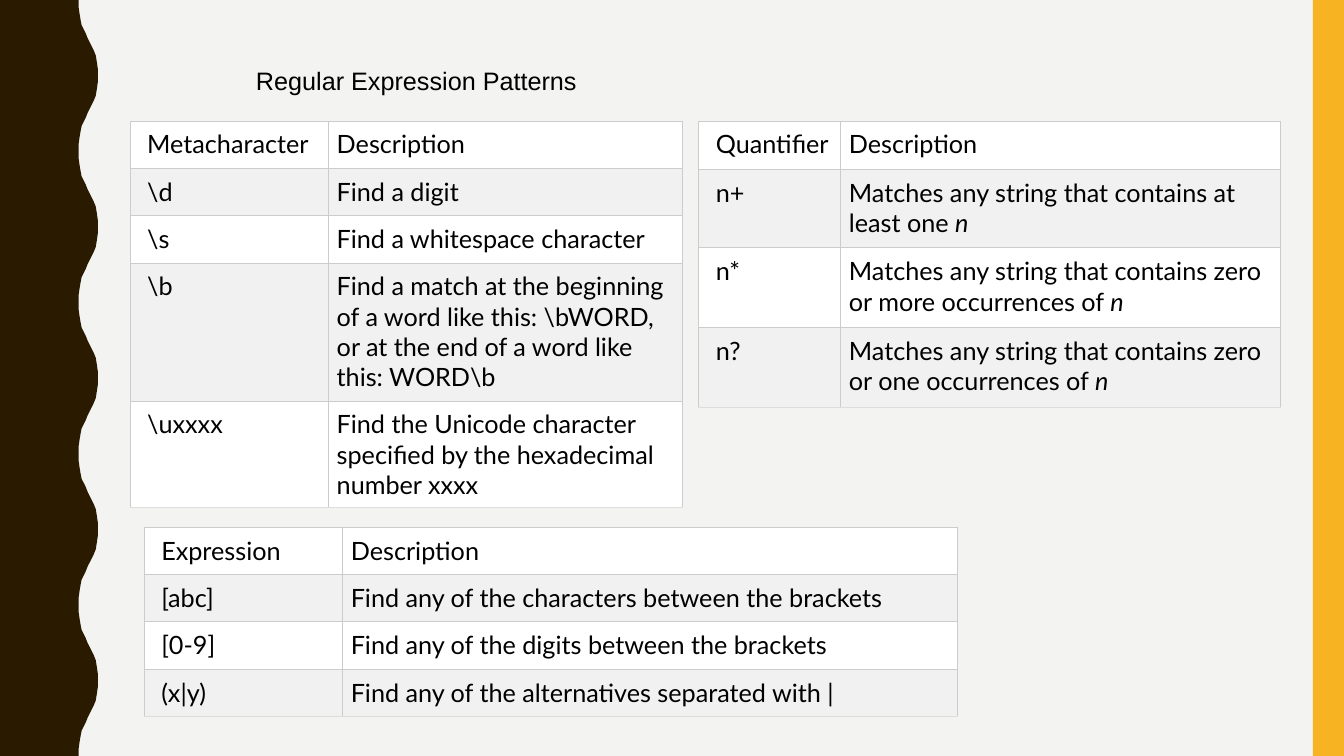
from lxml.etree import SubElement
from pptx import Presentation
from pptx.dml.color import RGBColor as RGB
from pptx.enum.shapes import MSO_SHAPE as Shape
from pptx.oxml.ns import qn
from pptx.util import Inches, Pt

COLORS = {"back": "F3F3F2", "wave": "2A1A00", "bar": "F8B323", "text": "000000",
          "plain": "FFFFFF", "band": "F1F1F1", "grid": "CCCCCC", "last": "DDDDDD"}
NBSP = "\u00a0"  # an italic letter follows it


class SlideStyle:
    def __init__(self, slide):
        self.slide, self.shapes = slide, slide.shapes
        self.paint(slide.background, "back")

    def paint(self, target, color):
        target.fill.solid()
        target.fill.fore_color.rgb = RGB.from_string(COLORS[color])

    def finish(self, shape, color):
        self.paint(shape, color)
        shape.line.fill.background()
        shape.shadow.inherit = False

    def rect(self, left, top, width, height, color):
        box = map(Inches, (left, top, width, height))
        self.finish(self.shapes.add_shape(Shape.RECTANGLE, *box), color)

    def outline(self, points, color):
        start, *rest = [(Inches(x), Inches(y)) for x, y in points]
        builder = self.shapes.build_freeform(*start)
        builder.add_line_segments(rest, close=True)
        self.finish(builder.convert_to_shape(), color)

    def run(self, paragraph, words, font, italic=False):
        run = paragraph.add_run()
        run.text = words
        look = {"name": font, "size": Pt(18), "italic": italic, "bold": False}
        for key, value in look.items():
            setattr(run.font, key, value)
        run.font.color.rgb = RGB.from_string(COLORS["text"])

    def text(self, left, top, width, height, words):
        box = self.shapes.add_textbox(*map(Inches, (left, top, width, height)))
        box.text_frame.word_wrap = True
        self.run(box.text_frame.paragraphs[0], words, "Arial")

    def border(self, cell, side, color):
        line = SubElement(cell._tc.get_or_add_tcPr(), qn("a:ln" + side), w=str(Pt(0.75)))
        fill = SubElement(line, qn("a:solidFill"))
        SubElement(fill, qn("a:srgbClr"), val=COLORS[color])

    def cell(self, cell, words, indent, color, bottom):
        margins = {"left": indent, "right": 0.08, "top": 0.08, "bottom": 0.08}
        for side, size in margins.items():
            setattr(cell, "margin_" + side, Inches(size))
        for side in "LRTB":
            self.border(cell, side, bottom if side == "B" else "grid")
        self.paint(cell, color)
        lead, gap, letter = words.partition(NBSP)
        paragraph = cell.text_frame.paragraphs[0]
        self.run(paragraph, lead + gap, "Lato")
        if letter:
            self.run(paragraph, letter, "Lato", italic=True)

    def table(self, left, top, widths, heights, rows):
        size = map(Inches, (left, top, sum(widths), sum(heights)))
        table = self.shapes.add_table(len(rows), len(widths), *size).table
        table.first_row = table.horz_banding = False
        for column, width in zip(table.columns, widths):
            column.width = Inches(width)
        for i, (row, height) in enumerate(zip(rows, heights)):
            table.rows[i].height = Inches(height)
            bottom = "last" if i == len(rows) - 1 else "grid"
            for j, words in enumerate(row):
                self.cell(table.cell(i, j), words, 0.08 if j else 0.17,
                          "band" if i % 2 else "plain", bottom)


prs = Presentation()
prs.slide_width, prs.slide_height = Inches(13.33), Inches(7.5)
page = SlideStyle(prs.slides.add_slide(prs.slide_layouts[6]))

# Wavy left edge: five waves, each a rise and its mirrored fall
PERIOD = 1.5
rise = [(0.78, 0), (0.78, 0.07), (0.79, 0.14), (0.8, 0.2), (0.81, 0.25), (0.83, 0.29),
        (0.85, 0.33), (0.87, 0.38), (0.89, 0.42), (0.91, 0.46), (0.93, 0.5),
        (0.95, 0.55), (0.96, 0.61), (0.97, 0.68), (0.97, 0.75)]
wave = rise + [(x, PERIOD - y) for x, y in rise[-2::-1]]
edge = [(x, y + n * PERIOD) for n in range(5) for x, y in wave]
page.outline([(0, 0), *edge, (0, 7.5)], "wave")

# Right bar
page.rect(13.02, 0, 0.31, 7.5, "bar")

# Pattern tables
page.table(1.43, 5.23, [1.97, 6.1], [0.47] * 4, [
    ("Expression", "Description"),
    ("[abc]", "Find any of the characters between the brackets"),
    ("[0-9]", "Find any of the digits between the brackets"),
    ("(x|y)", "Find any of the alternatives separated with |")])
page.table(1.29, 1.2, [1.97, 3.51], [0.47, 0.47, 0.47, 1.37, 1.06], [
    ("Metacharacter", "Description"),
    (r"\d", "Find a digit"),
    (r"\s", "Find a whitespace character"),
    (r"\b", r"Find a match at the beginning of a word like this: \bWORD, "
            r"or at the end of a word like this: WORD\b"),
    (r"\uxxxx", "Find the Unicode character specified by the hexadecimal number xxxx")])
page.table(6.93, 1.2, [1.41, 4.36], [0.48, 0.78, 0.79, 0.79], [
    ("Quantifier", "Description"),
    ("n+", f"Matches any string that contains at least one{NBSP}n"),
    ("n*", f"Matches any string that contains zero or more occurrences of{NBSP}n"),
    ("n?", f"Matches any string that contains zero or one occurrences of{NBSP}n")])

# Title
page.text(2.44, 0.6, 4.95, 0.4, "Regular Expression Patterns")

prs.save("out.pptx")
